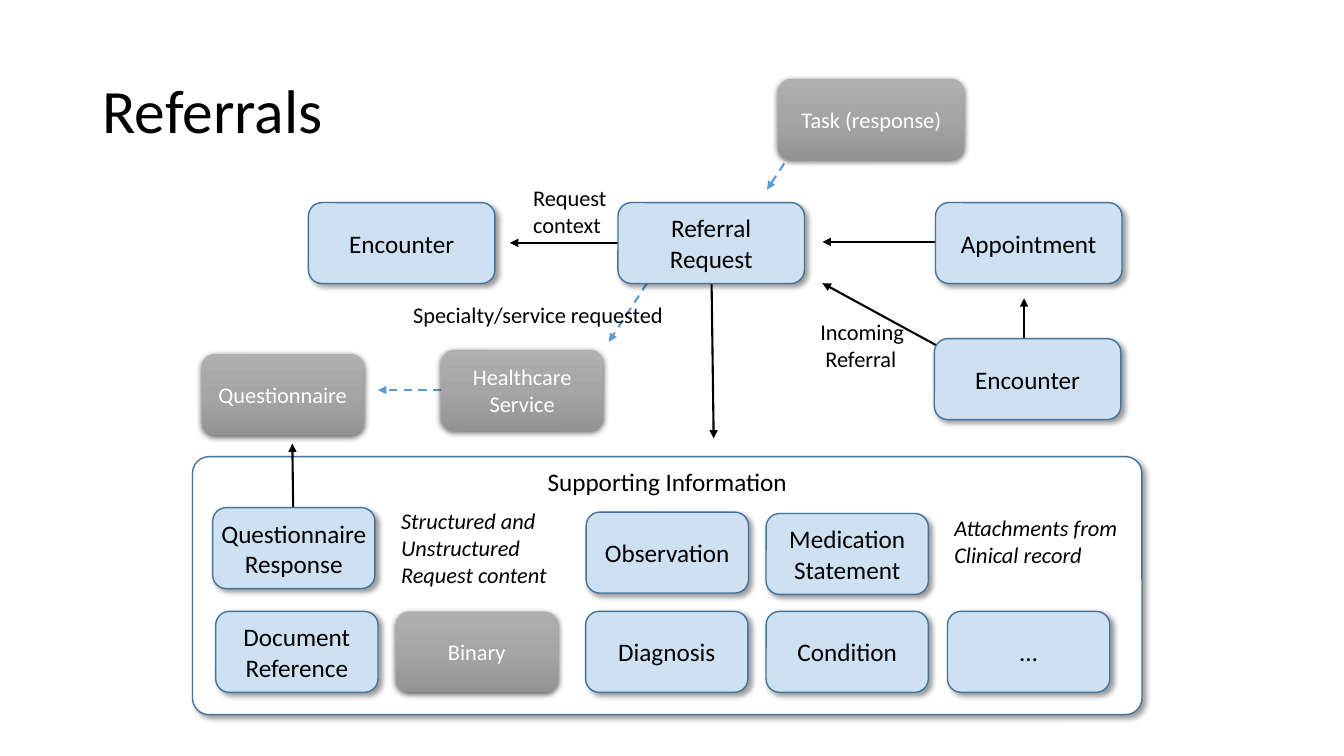
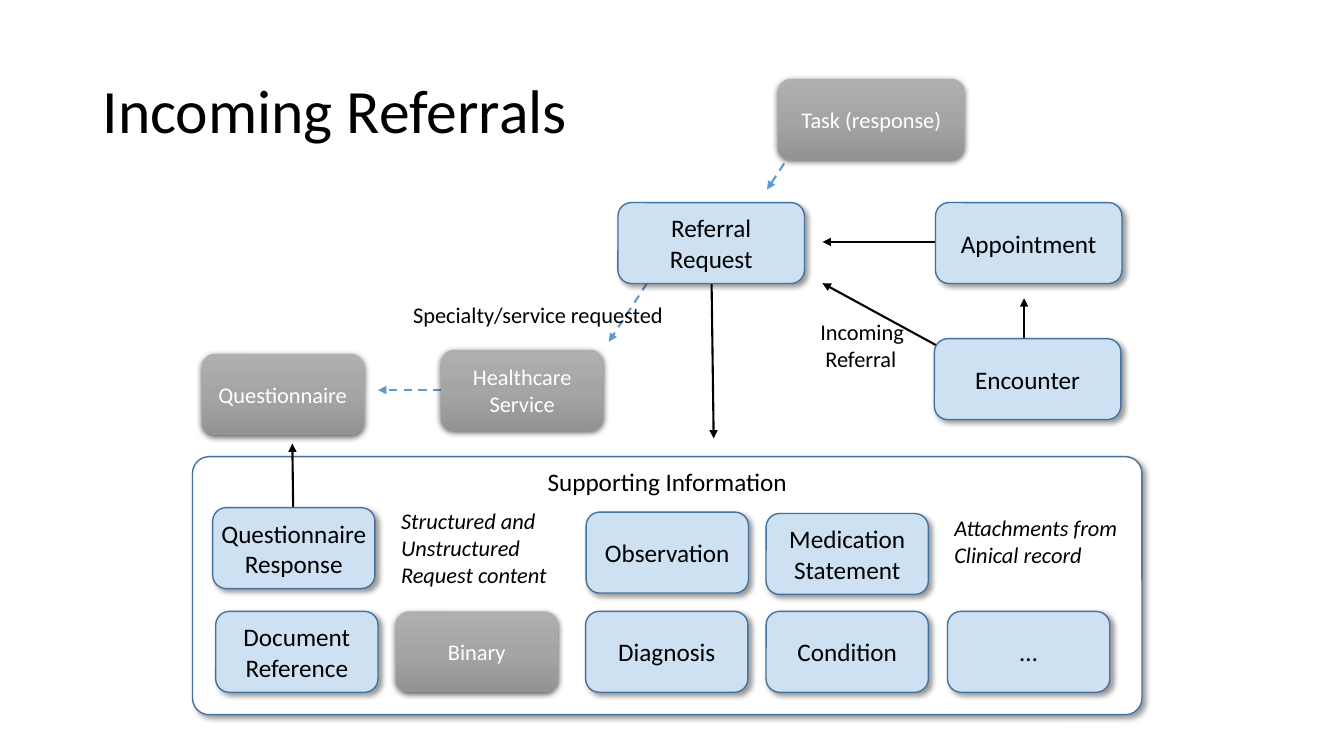
from dataclasses import dataclass

from lxml import etree
from pptx import Presentation
from pptx.dml.color import RGBColor
from pptx.enum.dml import MSO_LINE
from pptx.enum.shapes import MSO_CONNECTOR, MSO_SHAPE
from pptx.enum.text import MSO_ANCHOR, PP_ALIGN
from pptx.oxml import parse_xml
from pptx.oxml.ns import qn
from pptx.util import Pt

ROUND = MSO_SHAPE.ROUNDED_RECTANGLE
STRAIGHT = MSO_CONNECTOR.STRAIGHT
DASH = MSO_LINE.DASH
TOP, MIDDLE = MSO_ANCHOR.TOP, MSO_ANCHOR.MIDDLE
LEFT, CENTER = PP_ALIGN.LEFT, PP_ALIGN.CENTER

FONT = "Calibri"
BLACK, WHITE = "000000", "FFFFFF"
PALE, EDGE, BLUE = "CEE1F2", "43739E", "5B9BD5"
GREYS = ((0, "AFAFAF"), (50, "A5A5A5"), (100, "939393"))
NAMES = "http://schemas.openxmlformats.org/drawingml/2006/main"

WIDE, SLIM, HIGH = 133.2, 115.9, 57.8
UPPER, LOWER = 144.7, 436.7


@dataclass(frozen=True)
class Shade:
    blur: float
    dist: float
    angle: int
    alpha: int


@dataclass(frozen=True)
class Box:
    text: str
    left: float
    top: float
    width: float = SLIM
    height: float = HIGH
    fill: str = PALE
    grey: bool = False
    inset: float = 7.2
    anchor: MSO_ANCHOR = MIDDLE


@dataclass(frozen=True)
class Label:
    text: str
    left: float
    top: float
    width: float
    height: float
    italic: bool = False


@dataclass(frozen=True)
class Arrow:
    x1: float
    y1: float
    x2: float
    y2: float
    dashed: bool = False


@dataclass(frozen=True)
class Page:
    title: str
    width: float
    boxes: tuple = ()
    labels: tuple = ()
    arrows: tuple = ()


SOFT = Shade(4, 3, 45, 40)
DEEP = Shade(4.5, 1.5, 90, 63)

PANEL = Box("Supporting Information", 137.5, 326.2, 678.2, 184.3,
            fill=WHITE, anchor=TOP)
BOXES = (
    Box("Task (response)", 555.8, 56.2, WIDE, grey=True),
    Box("Referral Request", 441.4, UPPER, WIDE),
    Box("Appointment", 668.2, UPPER, WIDE),
    Box("Encounter", 667.4, 241.9, WIDE),
    Box("Questionnaire", 144, 252.7, grey=True),
    Box("Healthcare Service", 315.1, 249.8, grey=True),
    Box("Questionnaire Response", 151.9, 362.6, inset=3),
    Box("Observation", 418.7, 365.8),
    Box("Medication Statement", 547.2, 366.8),
    Box("Document Reference", 154.1, LOWER),
    Box("Binary", 282.6, LOWER, grey=True),
    Box("Diagnosis", 418.3, LOWER),
    Box("Condition", 547.2, LOWER),
    Box("…", 676.8, LOWER),
)
LABELS = (
    Label("Specialty/service requested", 288, 211.7, 195.1, 26.6),
    Label("Incoming\n Referral", 578.9, 223.9, 74.9, 46.1),
    Label("Structured and\nUnstructured\nRequest content",
          279.4, 358.6, 121.7, 65.5, True),
    Label("Attachments from\nClinical record",
          674.6, 363.6, 133.2, 65.5, True),
)
ARROWS = (
    Arrow(674.6, 249.8, 587.5, 202.3),
    Arrow(508.3, 202.3, 509.8, 313.2),
    Arrow(209.5, 368.6, 208.8, 316.8),
    Arrow(684, 172.8, 587.5, 172.8),
    Arrow(731.5, 249.1, 731.5, 213.1),
    Arrow(315.4, 278.6, 270, 278.6, True),
    Arrow(462.2, 202.3, 434.9, 244.1, True),
    Arrow(565.9, 108, 547.9, 135.4, True),
)
PAGES = (
    Page("Referrals", 193.7,
         (Box("Encounter", 220.3, UPPER, WIDE),),
         (Label("Request\ncontext", 373.7, 128.2, 67.7, 46.1),),
         (Arrow(450.7, 173.5, 364.3, 173.5),)),
    Page("Incoming Referrals", 828),
)


def color(code: str) -> RGBColor:
    return RGBColor.from_string(code)


def write(frame, text: str, size: float, ink: str, align=LEFT,
          italic: bool = False) -> None:
    frame.text = text
    for para in frame.paragraphs:
        para.alignment = align
        for run in para.runs:
            font = run.font
            font.name, font.size, font.italic = FONT, Pt(size), italic
            font.color.rgb = color(ink)


def shade(shape, kind: Shade) -> None:
    shape.shadow.inherit = False
    effect = shape._element.spPr.find(qn("a:effectLst"))
    effect.append(parse_xml(
        f'<a:outerShdw xmlns:a="{NAMES}" blurRad="{Pt(kind.blur)}" '
        f'dist="{Pt(kind.dist)}" dir="{kind.angle * 60000}" '
        f'algn="ctr" rotWithShape="0"><a:srgbClr val="{BLACK}">'
        f'<a:alpha val="{kind.alpha * 1000}"/></a:srgbClr></a:outerShdw>'))


def blend(shape) -> None:
    stops = "".join(
        f'<a:gs pos="{spot * 1000}"><a:srgbClr val="{code}"/></a:gs>'
        for spot, code in GREYS)
    geom = shape._element.spPr.find(qn("a:prstGeom"))
    geom.addnext(parse_xml(
        f'<a:gradFill xmlns:a="{NAMES}" rotWithShape="1">'
        f'<a:gsLst>{stops}</a:gsLst>'
        f'<a:lin ang="5400000" scaled="0"/></a:gradFill>'))


def draw_box(slide, box: Box):
    shape = slide.shapes.add_shape(ROUND, Pt(box.left), Pt(box.top),
                                   Pt(box.width), Pt(box.height))
    if box.grey:
        blend(shape)
        shape.line.fill.background()
    else:
        shape.fill.solid()
        shape.fill.fore_color.rgb = color(box.fill)
        shape.line.color.rgb = color(EDGE)
        shape.line.width = Pt(1)
    shade(shape, DEEP if box.grey else SOFT)
    frame = shape.text_frame
    frame.word_wrap = True
    frame.vertical_anchor = box.anchor
    frame.margin_left = frame.margin_right = Pt(box.inset)
    size, ink = (16, WHITE) if box.grey else (18, BLACK)
    write(frame, box.text, size, ink, CENTER)
    return shape


def draw_label(slide, label: Label) -> None:
    shape = slide.shapes.add_textbox(Pt(label.left), Pt(label.top),
                                     Pt(label.width), Pt(label.height))
    shape.text_frame.word_wrap = False
    write(shape.text_frame, label.text, 16, BLACK, italic=label.italic)


def draw_arrow(slide, arrow: Arrow) -> None:
    link = slide.shapes.add_connector(STRAIGHT, Pt(arrow.x1), Pt(arrow.y1),
                                      Pt(arrow.x2), Pt(arrow.y2))
    link.line.width = Pt(1.5)
    link.line.color.rgb = color(BLUE if arrow.dashed else BLACK)
    if arrow.dashed:
        link.line.dash_style = DASH
    props = link._element.spPr
    etree.SubElement(props.find(qn("a:ln")), qn("a:tailEnd"), type="triangle")
    etree.SubElement(props, qn("a:effectLst"))


def draw_title(slide, text: str, width: float) -> None:
    shape = slide.shapes.add_textbox(Pt(66.2), Pt(28.8), Pt(width), Pt(104.4))
    frame = shape.text_frame
    frame.word_wrap = True
    frame.vertical_anchor = MIDDLE
    write(frame, text, 44, BLACK)
    frame.paragraphs[0].line_spacing = 0.9


def draw_page(deck, page: Page) -> None:
    slide = deck.slides.add_slide(deck.slide_layouts[6])
    draw_title(slide, page.title, page.width)
    panel = draw_box(slide, PANEL)
    panel.adjustments[0] = 0.064
    for arrow in ARROWS + page.arrows:
        draw_arrow(slide, arrow)
    for box in BOXES + page.boxes:
        draw_box(slide, box)
    for label in LABELS + page.labels:
        draw_label(slide, label)


def main() -> None:
    deck = Presentation()
    deck.slide_width, deck.slide_height = Pt(960), Pt(540)
    for page in PAGES:
        draw_page(deck, page)
    deck.save("out.pptx")


main()
